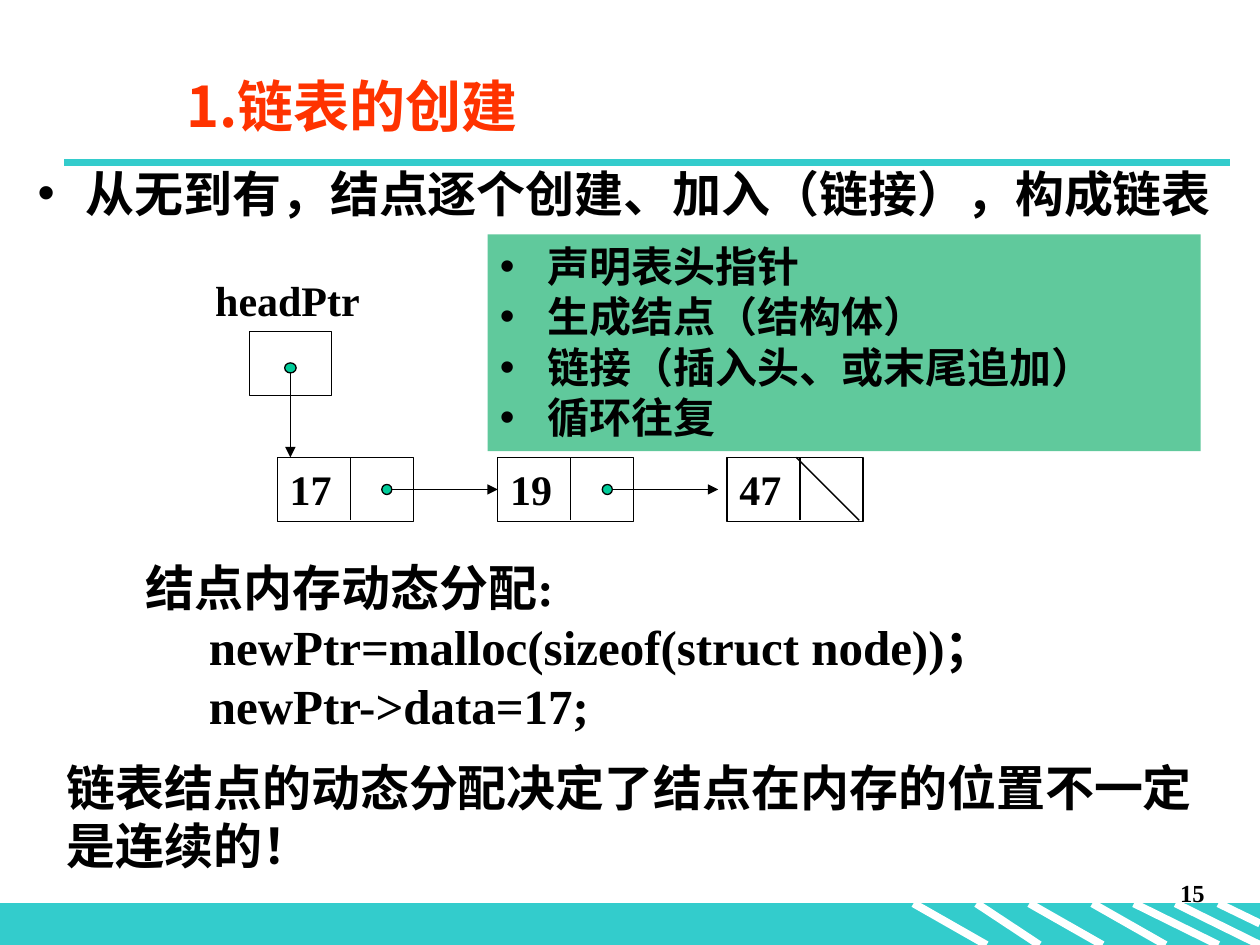
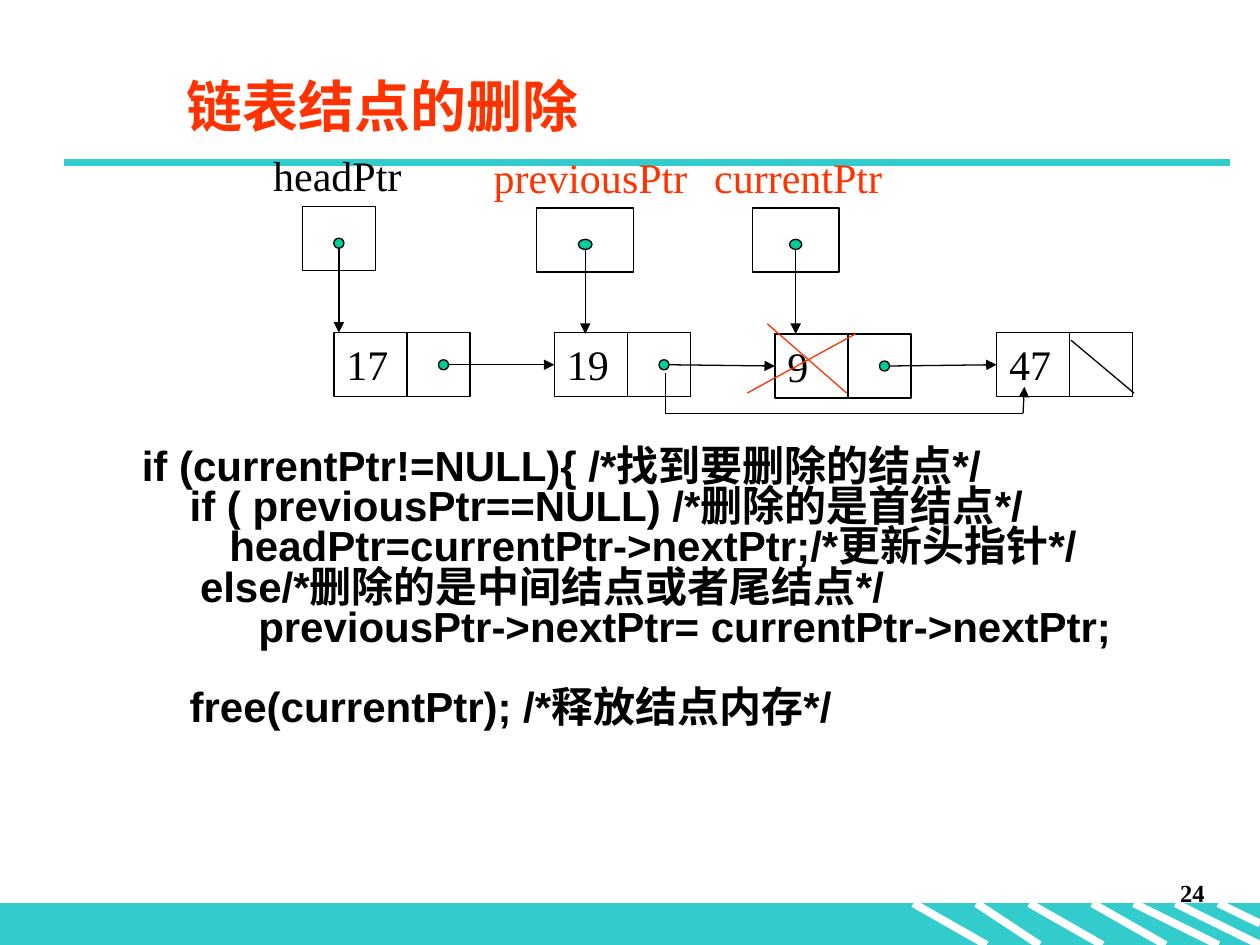
from lxml.etree import SubElement
from pptx import Presentation
from pptx.dml.color import RGBColor
from pptx.enum.shapes import MSO_CONNECTOR, MSO_SHAPE
from pptx.enum.text import MSO_ANCHOR, PP_ALIGN
from pptx.oxml.ns import qn
from pptx.util import Inches, Pt

COLORS = {
    "band": "33CCCC", "title": "FF3300", "text": "000000",
    "dot": "00CC99", "panel": "60C99C", "white": "FFFFFF",
}
SANS, SERIF, CJK = "Arial", "Times New Roman", "Noto Sans CJK SC"
WIDTH, HEIGHT = 10, 7.5
BAND_TOP = 7.17
STRIPES = [  # left, right, bottom
    (7.75, 8.25, HEIGHT), (7.25, 7.83, HEIGHT), (8.17, 8.75, HEIGHT),
    (9.33, 10, HEIGHT), (9, 9.67, HEIGHT), (9.67, 10, 7.33), (8.67, 9.25, HEIGHT),
]
CELL_HEIGHT = 0.51
NODE_WIDTH, NODE_DIVIDER = 1.08, 0.58
DOT = 0.08
HANGING = 0.38

CREATE = {
    "title": "1.链表的创建", "title_font": CJK, "number": 15, "bold": True,
    # label, colour, label left, label width, cell left, cell top, cell width
    "pointers": [("headPtr", "text", 1.61, 1.48, 1.98, 2.63, 0.65)],
    # value, left, top
    "nodes": [("17", 2.2, 3.63), ("19", 3.95, 3.63), ("47", 5.77, 3.63)],
    "null_mark": (6.32, 3.63, 6.82, 4.13),
}
CREATE_INTRO = ["从无到有，结点逐个创建、加入（链接），构成链表"]
CREATE_STEPS = ["声明表头指针", "生成结点（结构体）", "链接（插入头、或末尾追加）", "循环往复"]
ALLOCATION = ["结点内存动态分配:", "newPtr=malloc(sizeof(struct node))；", "newPtr->data=17;"]
CONCLUSION = ["链表结点的动态分配决定了结点在内存的位置不一定是连续的！"]

DELETE = {
    "title": "链表结点的删除", "title_font": SANS, "number": 24, "bold": False,
    "pointers": [
        ("headPtr", "text", 2.07, 1.33, 2.4, 1.64, 0.58),
        ("previousPtr", "title", 3.82, 1.75, 4.26, 1.65, 0.77),
        ("currentPtr", "title", 5.57, 1.58, 5.97, 1.65, 0.69),
    ],
    "nodes": [("17", 2.65, 2.64), ("19", 4.4, 2.64), ("9", 6.15, 2.65), ("47", 7.91, 2.64)],
    "null_mark": (8.5, 2.7, 9, 3.12),
}
DELETE_CODE = [
    "   if (currentPtr!=NULL){ /*找到要删除的结点*/",
    "    \t   if ( previousPtr==NULL) /*删除的是首结点*/",
    "        \t headPtr=currentPtr->nextPtr;/*更新头指针*/",
    "        else/*删除的是中间结点或者尾结点*/",
    "             previousPtr->nextPtr= currentPtr->nextPtr;",
    " \t   free(currentPtr); /*释放结点内存*/",
]
CODE_PITCH = 23
BYPASS = [(5.28, 2.96), (5.28, 3.28), (8.12, 3.28), (8.13, 3.07)]
CROSS = [(6.79, 2.65, 5.93, 3.12), (6.09, 2.57, 6.72, 3.12)]


def rgb(name):
    return RGBColor.from_string(COLORS[name])


def add_line(slide, x1, y1, x2, y2, color="text", weight=0.75, arrow=False):
    line = slide.shapes.add_connector(
        MSO_CONNECTOR.STRAIGHT, Inches(x1), Inches(y1), Inches(x2), Inches(y2))
    line.line.color.rgb = rgb(color)
    line.line.width = Pt(weight)
    if arrow:
        SubElement(line.line._get_or_add_ln(), qn("a:tailEnd"), type="triangle")
    SubElement(line._element.spPr, qn("a:effectLst"))
    return line


def add_box(slide, left, top, width, height, fill=None, line="text", kind=MSO_SHAPE.RECTANGLE):
    shape = slide.shapes.add_shape(
        kind, Inches(left), Inches(top), Inches(width), Inches(height))
    shape.shadow.inherit = False
    if fill:
        shape.fill.solid()
        shape.fill.fore_color.rgb = rgb(fill)
    else:
        shape.fill.background()
    if line:
        shape.line.color.rgb = rgb(line)
        shape.line.width = Pt(0.75)
    else:
        shape.line.fill.background()
    return shape


def add_dot(slide, center_x, center_y, width=DOT):
    add_box(slide, center_x - width / 2, center_y - DOT / 2, width, DOT,
            fill="dot", kind=MSO_SHAPE.OVAL)


def write(shape, lines, size, font=SERIF, color="text", bold=True, align=PP_ALIGN.LEFT,
          anchor=MSO_ANCHOR.TOP, pitch=None, margin=0, indent=0, bullet=False):
    """Fill a shape with one paragraph per line, set at a fixed line pitch in points."""
    frame = shape.text_frame
    frame.word_wrap = True
    frame.vertical_anchor = anchor
    frame.text = "\n".join(lines)
    for paragraph in frame.paragraphs:
        paragraph.alignment = align
        properties = paragraph._p.get_or_add_pPr()
        if margin:
            properties.set("marL", str(Inches(margin)))
            properties.set("indent", str(Inches(indent)))
        if bullet:
            SubElement(properties, qn("a:buFont"), typeface=SANS)
            SubElement(properties, qn("a:buChar"), char="•")
        paragraph.line_spacing = Pt(pitch or size * 1.2)
        for run in paragraph.runs:
            run.font.name = font
            run.font.size = Pt(size)
            run.font.bold = bold
            run.font.color.rgb = rgb(color)
            SubElement(run.font._element, qn("a:ea"), typeface=CJK)
    return frame


def add_text(slide, box, lines, size, **style):
    shape = slide.shapes.add_textbox(*(Inches(length) for length in box))
    return write(shape, lines, size, **style)


def add_base(presentation, content):
    """Add a slide with the footer band, title rule, number and title."""
    slide = presentation.slides.add_slide(presentation.slide_layouts[6])
    add_box(slide, 0, BAND_TOP, WIDTH, HEIGHT - BAND_TOP, fill="band", line="band")
    for left, right, bottom in STRIPES:
        add_line(slide, left, BAND_TOP, right, bottom, "white", 4.5)
    add_line(slide, 0.51, 1.29, 9.76, 1.29, "band", 4.5)
    add_text(slide, (7.58, 6.92, 2.08, 0.5), [str(content["number"])], 14, align=PP_ALIGN.RIGHT)
    add_text(slide, (1.38, 0.44, 8.5, 0.79), [content["title"]], 32,
             font=content["title_font"], color="title", anchor=MSO_ANCHOR.MIDDLE)
    return slide


def add_pointer(slide, pointer, bold):
    label, color, label_left, label_width, left, top, width = pointer
    add_box(slide, left, top, width, CELL_HEIGHT)
    add_text(slide, (label_left, top - 0.5, label_width, 0.5), [label], 24, color=color, bold=bold)
    center = left + width / 2
    add_line(slide, center, top + 0.33, center, top + 1, arrow=True)
    add_dot(slide, center, top + 0.29, width * 0.14)


def add_node(slide, value, left, top, bold):
    node = add_box(slide, left, top, NODE_WIDTH, CELL_HEIGHT)
    write(node, [value], 24, bold=bold)
    divider = left + NODE_DIVIDER
    add_line(slide, divider, top, divider, top + 0.5)
    return node


def add_linked_list(slide, content):
    bold = content["bold"]
    for pointer in content["pointers"]:
        add_pointer(slide, pointer, bold)
    nodes = content["nodes"]
    shapes = [add_node(slide, *node, bold) for node in nodes]
    for (_, left, top), (_, next_left, _), target in zip(nodes, nodes[1:], shapes[1:]):
        middle = top + CELL_HEIGHT / 2
        start, end = left + 0.91, left + 1.75
        link = add_line(slide, start, middle, end, middle, arrow=True)
        if abs(end - next_left) < 0.03:
            link.end_connect(target, 1)
        add_dot(slide, left + 0.87, middle)
    add_line(slide, *content["null_mark"])


def build_create(presentation):
    slide = add_base(presentation, CREATE)
    bullets = dict(font=SANS, margin=HANGING, indent=-HANGING, bullet=True)
    add_text(slide, (0.2, 1.25, 9.69, 0.6), CREATE_INTRO, 28, **bullets)
    add_linked_list(slide, CREATE)
    allocation = add_text(slide, (1.06, 4.38, 7.8, 1.5), ALLOCATION, 28)
    for paragraph in allocation.paragraphs[1:]:
        paragraph._p.get_or_add_pPr().set("marL", str(Inches(0.5)))
    add_text(slide, (0.43, 5.96, 9.23, 1.03), CONCLUSION, 28)
    panel = add_box(slide, 3.87, 1.86, 5.66, 1.72, fill="panel", line=None)
    write(panel, CREATE_STEPS, 24, **bullets)


def build_delete(presentation):
    slide = add_base(presentation, DELETE)
    code = add_text(slide, (0.75, 3.52, 8.5, 2.96), DELETE_CODE, 24, font=SANS,
                    pitch=CODE_PITCH, margin=HANGING, indent=-HANGING)
    code.paragraphs[-1].space_before = Pt(CODE_PITCH)
    add_linked_list(slide, DELETE)
    for start, end in zip(BYPASS, BYPASS[1:]):
        add_line(slide, *start, *end, arrow=end == BYPASS[-1])
    for stroke in CROSS:
        add_line(slide, *stroke, color="title")


def main():
    presentation = Presentation()
    presentation.slide_width = Inches(WIDTH)
    presentation.slide_height = Inches(HEIGHT)
    build_create(presentation)
    build_delete(presentation)
    presentation.save("out.pptx")


if __name__ == "__main__":
    main()
